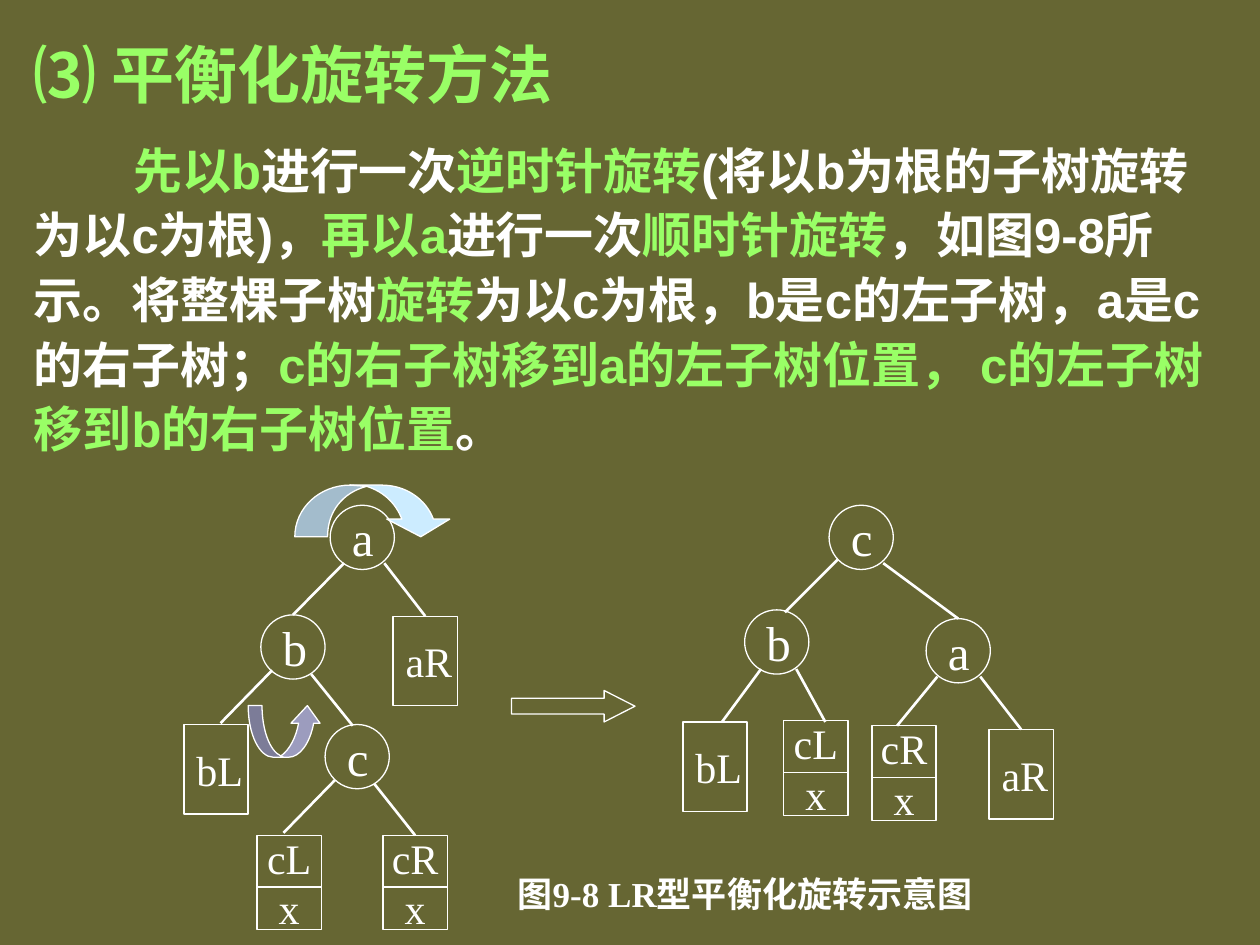
import pptx
import pptx.util
import pptx.dml.color
import pptx.enum.shapes
import pptx.enum.text
import pptx.oxml
import pptx.oxml.ns
import lxml.etree

Inches, Pt = pptx.util.Inches, pptx.util.Pt
KINDS = pptx.enum.shapes.MSO_SHAPE
ALIGN = pptx.enum.text.PP_ALIGN
COLORS = {"back": "666633", "white": "FFFFFF", "green": "99FF66",
          "sky": "CCECFF", "lilac": "9C9CBE"}
CJK, SERIF = "Noto Sans CJK SC", "Times New Roman"

TITLE = [("⑶ 平衡化旋转方法", "green")]
BODY = [
    ("先以b", "green"), ("进行一次", "white"), ("逆时针旋转", "green"),
    ("(将以b为根的子树旋转为以c为根)，", "white"), ("再以a", "green"),
    ("进行一次", "white"), ("顺时针旋转", "green"),
    ("，如图9-8所示。将整棵子树", "white"), ("旋转", "green"),
    ("为以c为根，b是c的左子树，a是c的右子树；", "white"),
    ("c的右子树移到a的左子树位置， c的左子树移到b的右子树位置", "green"),
    ("。", "white"),
]
CAPTION = [("图9-8 LR型平衡化旋转示意图", "white")]

SIZES = {"node": (0.51, 0.51), "leaf": (0.51, 0.71), "pair": (0.51, 0.75)}
TREES = [
    {"nodes": [("a", "node", 2.62, 4.01), ("b", "node", 2.07, 4.88),
               ("aR", "leaf", 3.12, 4.89), ("bL", "leaf", 1.46, 5.75),
               ("c", "node", 2.58, 5.75), ("cL", "pair", 2.04, 6.63),
               ("cR", "pair", 3.04, 6.63)],
     "edges": [("b", 2.73, 4.47, 2.32, 4.89), ("aR", 3.05, 4.47, 3.39, 4.89),
               ("bL", 2.16, 5.32, 1.75, 5.74), ("c", 2.47, 5.35, 2.8, 5.76),
               ("cL", 2.66, 6.19, 2.25, 6.61), ("cR", 2.97, 6.22, 3.3, 6.64)]},
    {"nodes": [("c", "node", 6.58, 4.01), ("b", "node", 5.91, 4.84),
               ("a", "node", 7.35, 4.91), ("bL", "leaf", 5.42, 5.73),
               ("cL", "pair", 6.22, 5.72), ("cR", "pair", 6.92, 5.76),
               ("aR", "leaf", 7.85, 5.79)],
     "edges": [("b", 6.65, 4.44, 6.23, 4.86), ("a", 7.01, 4.47, 7.6, 4.93),
               ("bL", 6.04, 5.31, 5.73, 5.73), ("cL", 6.32, 5.31, 6.55, 5.73),
               ("cR", 7.44, 5.37, 7.12, 5.76), ("aR", 7.78, 5.37, 8.11, 5.79)]},
]
TURNS = [
    {"fill": "lilac",
     "head": [(2.23, 6), (2.17, 6.01), (2.29, 6.01),
              (2.38, 6.01, 2.46, 5.9, 2.49, 5.74), (2.54, 5.74), (2.44, 5.6),
              (2.31, 5.74), (2.37, 5.74), (2.35, 5.85, 2.3, 5.95, 2.23, 6)],
     "tail": [(1.97, 5.6), (1.97, 5.83, 2.06, 6.01, 2.17, 6.01),
              (2.25, 6.01), (2.23, 6), (2.14, 5.96, 2.08, 5.79, 2.08, 5.6)]},
    {"fill": "sky",
     "head": [(2.91, 3.86), (2.78, 3.85), (3.03, 3.85),
              (3.22, 3.85, 3.38, 3.96, 3.44, 4.12), (3.57, 4.12), (3.34, 4.26),
              (3.07, 4.12), (3.19, 4.12), (3.14, 3.99, 3.04, 3.9, 2.91, 3.86)],
     "tail": [(2.34, 4.26), (2.34, 4.03, 2.54, 3.85, 2.78, 3.85),
              (2.91, 3.86), (2.72, 3.91, 2.6, 4.06, 2.6, 4.26)]},
]


def tint(name):
    return pptx.dml.color.RGBColor.from_string(COLORS[name])


def write(para, parts, size, font, bold=False):
    for text, color in parts:
        run = para.add_run()
        run.text = text
        run.font.size, run.font.name, run.font.bold = Pt(size), font, bold
        run.font.color.rgb = tint(color)
        east = pptx.oxml.parse_xml(
            '<a:ea %s typeface="%s"/>' % (pptx.oxml.ns.nsdecls("a"), CJK))
        run.font._element.find(pptx.oxml.ns.qn("a:latin")).addnext(east)


def style(shape, fill=None):
    shape.shadow.inherit = False
    if fill:
        shape.fill.solid()
        shape.fill.fore_color.rgb = tint(fill)
    else:
        shape.fill.background()
    shape.line.color.rgb = tint("white")
    shape.line.width = Pt(0.75)


def draw_line(slide, x1, y1, x2, y2, width):
    line = slide.shapes.add_connector(
        pptx.enum.shapes.MSO_CONNECTOR.STRAIGHT, *map(Inches, (x1, y1, x2, y2)))
    line.line.color.rgb = tint("white")
    line.line.width = Pt(width)
    line._element.spPr.append(pptx.oxml.parse_xml(
        "<a:effectLst %s/>" % pptx.oxml.ns.nsdecls("a")))
    return line


def draw_node(slide, name, kind, x, y):
    wide, high = SIZES[kind]
    form = KINDS.OVAL if kind == "node" else KINDS.RECTANGLE
    shape = slide.shapes.add_shape(form, *map(Inches, (x, y, wide, high)))
    style(shape)
    frame = shape.text_frame
    frame.word_wrap = False
    frame.vertical_anchor = pptx.enum.text.MSO_ANCHOR.MIDDLE
    rows = [name, "x"] if kind == "pair" else [name]
    for i, text in enumerate(rows):
        para = frame.add_paragraph() if i else frame.paragraphs[0]
        para.alignment = ALIGN.CENTER if kind == "pair" else ALIGN.LEFT
        write(para, [(text, "white")], 28 if kind == "node" else 24, SERIF)
    if kind == "pair":
        draw_line(slide, x, y + 0.41, x + wide, y + 0.41, 0.75)
    return shape


def draw_tree(slide, tree):
    shapes = {node[0]: draw_node(slide, *node) for node in tree["nodes"]}
    for child, x1, y1, x2, y2 in tree["edges"]:
        line = draw_line(slide, x1, y1, x2, y2, 1.5)
        shape = shapes[child]
        if abs(shape.left + shape.width / 2 - Inches(x2)) < Inches(0.02):
            line.end_connect(shape, 0)


def add_path(paths, shape, steps, shade):
    qn = pptx.oxml.ns.qn
    path = lxml.etree.SubElement(paths, qn("a:path"), w=str(shape.width),
                                 h=str(shape.height), fill=shade)
    for i, step in enumerate(steps):
        tag = "a:cubicBezTo" if len(step) == 6 else "a:lnTo" if i else "a:moveTo"
        move = lxml.etree.SubElement(path, qn(tag))
        for x, y in zip(step[::2], step[1::2]):
            lxml.etree.SubElement(move, qn("a:pt"),
                                  x=str(Inches(x) - shape.left),
                                  y=str(Inches(y) - shape.top))
    lxml.etree.SubElement(path, qn("a:close"))


def draw_turn(slide, turn):
    ends = [tuple(map(Inches, step[-2:])) for step in turn["head"] + turn["tail"]]
    pen = slide.shapes.build_freeform(*ends[0])
    pen.add_line_segments(ends[1:], close=True)
    shape = pen.convert_to_shape()
    paths = shape._element.spPr.find(".//" + pptx.oxml.ns.qn("a:pathLst"))
    paths.remove(paths[0])
    add_path(paths, shape, turn["head"], "norm")
    add_path(paths, shape, turn["tail"], "darkenLess")
    style(shape, turn["fill"])


def main():
    deck = pptx.Presentation()
    deck.slide_width, deck.slide_height = Inches(10), Inches(7.5)
    slide = deck.slides.add_slide(deck.slide_layouts[6])
    slide.background.fill.solid()
    slide.background.fill.fore_color.rgb = tint("back")

    frame = slide.shapes.add_textbox(
        *map(Inches, (0.17, 0.17, 9.64, 3.58))).text_frame
    frame.word_wrap = True
    head, body = frame.paragraphs[0], frame.add_paragraph()
    head.line_spacing = body.line_spacing = 1.1
    body.space_before = Pt(13.5)
    props = body._p.get_or_add_pPr()
    props.set("indent", str(Inches(0.79)))
    props.set("hangingPunct", "0")
    write(head, TITLE, 36, "Arial", True)
    write(body, BODY, 28, "Arial", True)

    for tree in TREES:
        draw_tree(slide, tree)
    for turn in TURNS:
        draw_turn(slide, turn)

    arrow = slide.shapes.add_shape(
        KINDS.RIGHT_ARROW, *map(Inches, (4.06, 5.48, 0.98, 0.25)))
    arrow.adjustments[0], arrow.adjustments[1] = 0.5, 0.98
    style(arrow)

    note = slide.shapes.add_textbox(
        *map(Inches, (4.01, 6.9, 4.02, 0.39))).text_frame
    note.word_wrap = False
    note.vertical_anchor = pptx.enum.text.MSO_ANCHOR.MIDDLE
    write(note.paragraphs[0], CAPTION, 20, SERIF, True)
    deck.save("out.pptx")


if __name__ == "__main__":
    main()
